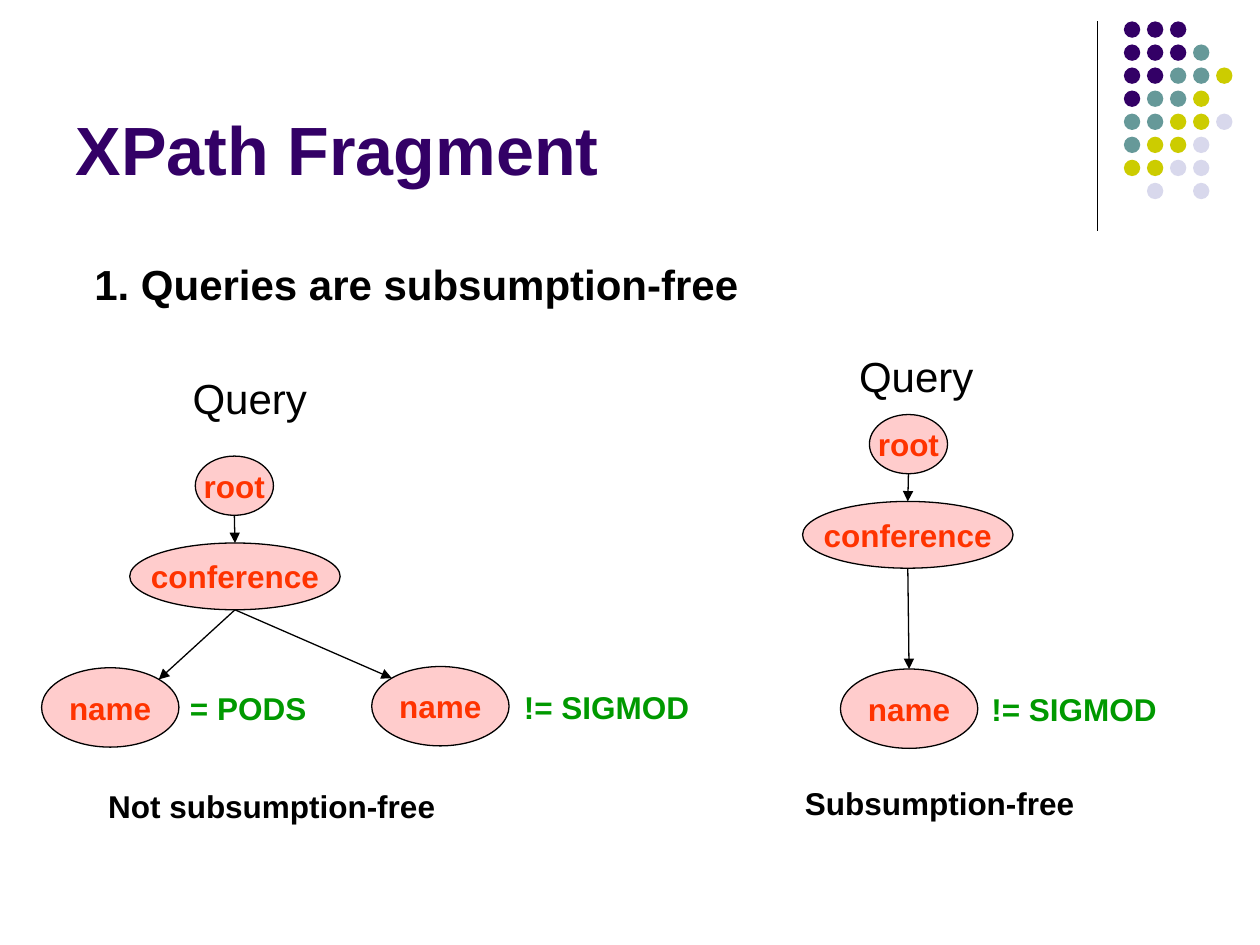
"""Build the XPath Fragment slide comparing two query trees."""
from math import cos, radians, sin

from lxml.etree import SubElement
from pptx import Presentation
from pptx.dml.color import RGBColor
from pptx.enum.shapes import MSO_CONNECTOR, MSO_SHAPE
from pptx.enum.text import MSO_ANCHOR, MSO_AUTO_SIZE, PP_ALIGN
from pptx.oxml.ns import qn
from pptx.util import Inches, Pt

BLACK = RGBColor(0x00, 0x00, 0x00)
PURPLE = RGBColor(0x33, 0x00, 0x66)
TEAL = RGBColor(0x66, 0x99, 0x99)
OLIVE = RGBColor(0xCC, 0xCC, 0x00)
LILAC = RGBColor(0xD8, 0xD8, 0xEC)
PINK = RGBColor(0xFF, 0xCC, 0xCC)
RED = RGBColor(0xFF, 0x33, 0x00)
GREEN = RGBColor(0x00, 0x99, 0x00)

FONT = "Arial"
TITLE = "XPath Fragment"
DOT_COLORS = {"P": PURPLE, "T": TEAL, "O": OLIVE, "L": LILAC}
DOT_ROWS = ["PPP", "PPPT", "PPTTO", "PTTO", "TTOOL", "TOOL", "OOLL", " L L"]
DOT_LEFT, DOT_TOP, DOT_STEP, DOT_SIZE = 8.92, 0.17, 0.183, 0.13

NODE_SIZES = {"root": (0.62, 0.47), "conference": (1.67, 0.53), "name": (1.09, 0.63)}
NODES = {
    "left root": ("root", 1.55, 3.62),
    "left conference": ("conference", 1.03, 4.31),
    "left PODS name": ("name", 0.33, 5.3),
    "left SIGMOD name": ("name", 2.95, 5.29),
    "right root": ("root", 6.9, 3.29),
    "right conference": ("conference", 6.37, 3.98),
    "right name": ("name", 6.67, 5.31),
}
TOP, TOP_LEFT, TOP_RIGHT, BOTTOM = 270, 225, 315, 90
EDGES = [
    ("left root", "left conference", TOP),
    ("left conference", "left PODS name", TOP_RIGHT),
    ("left conference", "left SIGMOD name", TOP_LEFT),
    ("right root", "right conference", TOP),
    ("right conference", "right name", TOP),
]
LABELS = [
    ("1. Queries are subsumption-free", 0.65, 2, 6.38, 24, BLACK, True),
    ("Query", 1.43, 2.91, 1.37, 24, BLACK, False),
    ("Query", 6.72, 2.73, 1.37, 24, BLACK, False),
    ("= PODS", 1.41, 5.42, 1.27, 18, GREEN, True),
    ("!= SIGMOD", 4.06, 5.41, 1.6, 18, GREEN, True),
    ("!= SIGMOD", 7.77, 5.43, 1.6, 18, GREEN, True),
    ("Not subsumption-free", 0.76, 6.2, 2.85, 18, BLACK, True),
    ("Subsumption-free", 6.29, 6.17, 2.85, 18, BLACK, True),
]
LABEL_HEIGHTS = {24: 0.5, 18: 0.4}


def write(frame, text, size, color, bold=True, align=PP_ALIGN.LEFT):
    para = frame.paragraphs[0]
    para.alignment = align
    span = para.add_run()
    span.text = text
    span.font.name = FONT
    span.font.size = Pt(size)
    span.font.bold = bold
    span.font.color.rgb = color


def add_ellipse(page, left, top, width, height, fill):
    oval = page.shapes.add_shape(
        MSO_SHAPE.OVAL, Inches(left), Inches(top), Inches(width), Inches(height))
    oval.shadow.inherit = False
    oval.fill.solid()
    oval.fill.fore_color.rgb = fill
    oval.line.fill.background()
    return oval


def add_line(page, start, end, arrow=False):
    line = page.shapes.add_connector(
        MSO_CONNECTOR.STRAIGHT, *(Inches(value) for value in (*start, *end)))
    line.line.color.rgb = BLACK
    line.line.width = Pt(0.75)
    if arrow:
        SubElement(line.line._get_or_add_ln(), qn("a:tailEnd"), type="triangle")
    SubElement(line._element.spPr, qn("a:effectLst"))


def rim_point(node, angle):
    kind, left, top = NODES[node]
    width, height = NODE_SIZES[kind]
    turn = radians(angle)
    return left + width / 2 * (1 + cos(turn)), top + height / 2 * (1 + sin(turn))


def add_title(page):
    title = page.shapes.title
    title.left, title.top = Inches(0.5), Inches(0.13)
    title.width, title.height = Inches(8.25), Inches(1.42)
    frame = title.text_frame
    frame.auto_size = MSO_AUTO_SIZE.NONE
    frame.vertical_anchor = MSO_ANCHOR.BOTTOM
    write(frame, TITLE, 39, PURPLE)


def add_dots(page):
    for row, codes in enumerate(DOT_ROWS):
        for column, code in enumerate(codes):
            if code in DOT_COLORS:
                add_ellipse(page, DOT_LEFT + column * DOT_STEP, DOT_TOP + row * DOT_STEP,
                            DOT_SIZE, DOT_SIZE, DOT_COLORS[code])


def add_trees(page):
    for kind, left, top in NODES.values():
        oval = add_ellipse(page, left, top, *NODE_SIZES[kind], PINK)
        oval.line.color.rgb = BLACK
        oval.line.width = Pt(0.75)
        frame = oval.text_frame
        frame.word_wrap = False
        frame.vertical_anchor = MSO_ANCHOR.MIDDLE
        write(frame, kind, 18, RED, align=PP_ALIGN.CENTER)
    for parent, child, angle in EDGES:
        add_line(page, rim_point(parent, BOTTOM), rim_point(child, angle), arrow=True)


def add_labels(page):
    for text, left, top, width, size, color, bold in LABELS:
        box = page.shapes.add_textbox(
            Inches(left), Inches(top), Inches(width), Inches(LABEL_HEIGHTS[size]))
        box.text_frame.word_wrap = True
        box.text_frame.auto_size = MSO_AUTO_SIZE.SHAPE_TO_FIT_TEXT
        write(box.text_frame, text, size, color, bold)


def main():
    deck = Presentation()
    deck.slide_width, deck.slide_height = Inches(10), Inches(7.5)
    page = deck.slides.add_slide(deck.slide_layouts[5])
    add_line(page, (8.71, 0.17), (8.71, 1.83))
    add_dots(page)
    add_title(page)
    add_trees(page)
    add_labels(page)
    deck.save("out.pptx")


if __name__ == "__main__":
    main()
